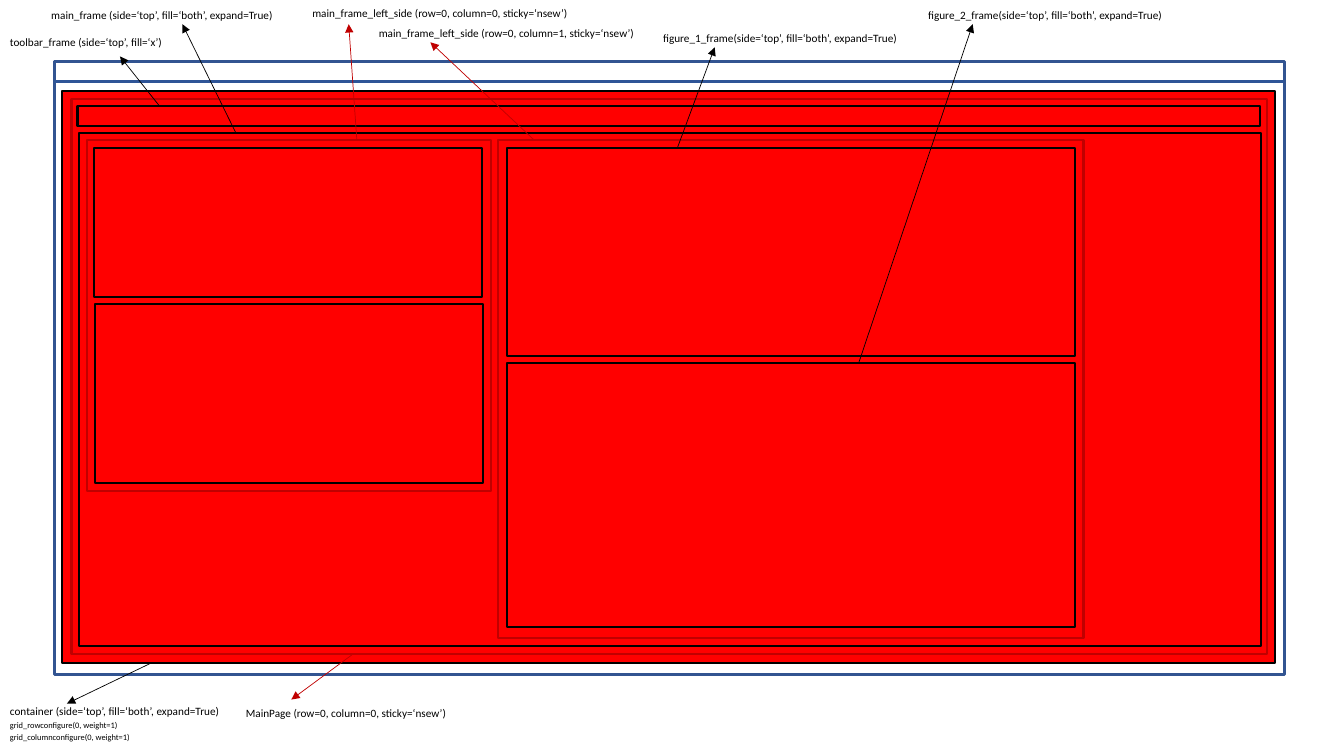
from dataclasses import dataclass

from lxml import etree
from pptx import Presentation
from pptx.dml.color import RGBColor
from pptx.enum.shapes import MSO_CONNECTOR, MSO_SHAPE
from pptx.oxml.ns import qn
from pptx.util import Pt

STRAIGHT = MSO_CONNECTOR.STRAIGHT
RECTANGLE = MSO_SHAPE.RECTANGLE


@dataclass(frozen=True)
class Theme:
    window: str = "325491"
    title_bar: str = "2F5597"
    pack: str = "000000"
    grid: str = "C00000"
    container: str = "FF0000"
    text: str = "000000"
    font: str = "Calibri"
    label_size: float = 8
    detail_size: float = 6
    window_line: float = 2.25
    frame_line: float = 1.5
    arrow_line: float = 0.5


THEME = Theme()
SLIDE_WIDTH, SLIDE_HEIGHT = 960, 540
TITLE_BAR_Y = 58.3

WINDOW = (38.9, 43.9, 878.4, 437.8)

# name: (left, top, width, height), outline
FRAMES = {
    "container": ((44.6, 64.8, 866.2, 409), THEME.pack),
    "main_page": ((51.1, 70.6, 853.9, 396.7), THEME.grid),
    "toolbar": ((55.4, 75.6, 844.6, 14.4), THEME.pack),
    "main": ((56.2, 95, 844.6, 366.5), THEME.pack),
    "left_side": ((61.9, 100.1, 288.7, 250.6), THEME.grid),
    "right_side": ((355.7, 100.1, 418.3, 355.7), THEME.grid),
    "figure_1": ((362.2, 105.8, 405.4, 148.3), THEME.pack),
    "figure_2": ((362.2, 259.2, 405.4, 188.6), THEME.pack),
    "left_upper": ((67, 105.8, 277.2, 106.6), THEME.pack),
    "left_lower": ((67.7, 217.4, 277.2, 127.4), THEME.pack),
}

# frame, edge the arrow leaves from, x on that edge, arrow tip
ARROWS = [
    ("container", "bottom", 107.6, (47.8, 502.6)),
    ("main_page", "bottom", 252, (208.1, 499.7)),
    ("toolbar", "top", 113.8, (85.7, 40.3)),
    ("main", "top", 168.5, (130.3, 17.3)),
    ("left_side", "top", 254.9, (249.1, 17.3)),
    ("right_side", "top", 381.6, (307.4, 30.2)),
    ("figure_1", "top", 483.8, (510.5, 33.8)),
    ("figure_2", "top", 613.4, (694.8, 17.3)),
]

# text, (left, top, width), size
LABELS = [
    ("container (side=‘top’, fill=‘both’, expand=True)", (0, 499.7, 171.4), THEME.label_size),
    ("grid_rowconfigure(0, weight=1)", (0, 510.5, 171.4), THEME.detail_size),
    ("grid_columnconfigure(0, weight=1)", (0, 519.3, 171.4), THEME.detail_size),
    ("MainPage (row=0, column=0, sticky=‘nsew’)", (168.5, 501.1, 171.4), THEME.label_size),
    ("toolbar_frame (side=‘top’, fill=‘x’)", (0, 21.6, 223.2), THEME.label_size),
    ("main_frame (side=‘top’, fill=‘both’, expand=True)", (29.5, 2.2, 223.2), THEME.label_size),
    ("main_frame_left_side (row=0, column=0, sticky=‘nsew’)", (216, 0.7, 223.2), THEME.label_size),
    ("main_frame_left_side (row=0, column=1, sticky=‘nsew’)", (263.5, 15.1, 223.2), THEME.label_size),
    ("figure_1_frame(side=‘top’, fill=‘both’, expand=True)", (466.6, 18.7, 223.2), THEME.label_size),
    ("figure_2_frame(side=‘top’, fill=‘both’, expand=True)", (655.9, 2.2, 223.2), THEME.label_size),
]
LABEL_HEIGHT = {THEME.label_size: 17, THEME.detail_size: 14.5}


def add_frame(slide, box, outline, weight, fill=None):
    frame = slide.shapes.add_shape(RECTANGLE, *map(Pt, box))
    frame.shadow.inherit = False
    if fill:
        frame.fill.solid()
        frame.fill.fore_color.rgb = RGBColor.from_string(fill)
    else:
        frame.fill.background()
    frame.line.color.rgb = RGBColor.from_string(outline)
    frame.line.width = Pt(weight)


def add_line(slide, start, end, color, weight, arrow=False):
    line = slide.shapes.add_connector(STRAIGHT, *map(Pt, (*start, *end)))
    line.line.color.rgb = RGBColor.from_string(color)
    line.line.width = Pt(weight)
    if arrow:
        etree.SubElement(line.line._get_or_add_ln(), qn("a:tailEnd"), type="triangle")
    etree.SubElement(line._element.spPr, qn("a:effectLst"))


def add_label(slide, text, place, size):
    label = slide.shapes.add_textbox(*map(Pt, (*place, LABEL_HEIGHT[size])))
    label.text_frame.word_wrap = True
    paragraph = label.text_frame.paragraphs[0]
    paragraph.text = text
    paragraph.font.name = THEME.font
    paragraph.font.size = Pt(size)
    paragraph.font.color.rgb = RGBColor.from_string(THEME.text)


def main():
    deck = Presentation()
    deck.slide_width, deck.slide_height = Pt(SLIDE_WIDTH), Pt(SLIDE_HEIGHT)
    slide = deck.slides.add_slide(deck.slide_layouts[6])

    add_frame(slide, WINDOW, THEME.window, THEME.window_line)
    left, _, width, _ = WINDOW
    add_line(slide, (left, TITLE_BAR_Y), (left + width, TITLE_BAR_Y),
             THEME.title_bar, THEME.window_line)

    for name, (box, outline) in FRAMES.items():
        fill = THEME.container if name == "container" else None
        add_frame(slide, box, outline, THEME.frame_line, fill)

    for name, edge, x, tip in ARROWS:
        (_, top, _, height), outline = FRAMES[name]
        y = top if edge == "top" else top + height
        add_line(slide, (x, y), tip, outline, THEME.arrow_line, arrow=True)

    for text, place, size in LABELS:
        add_label(slide, text, place, size)

    deck.save("out.pptx")


if __name__ == "__main__":
    main()
